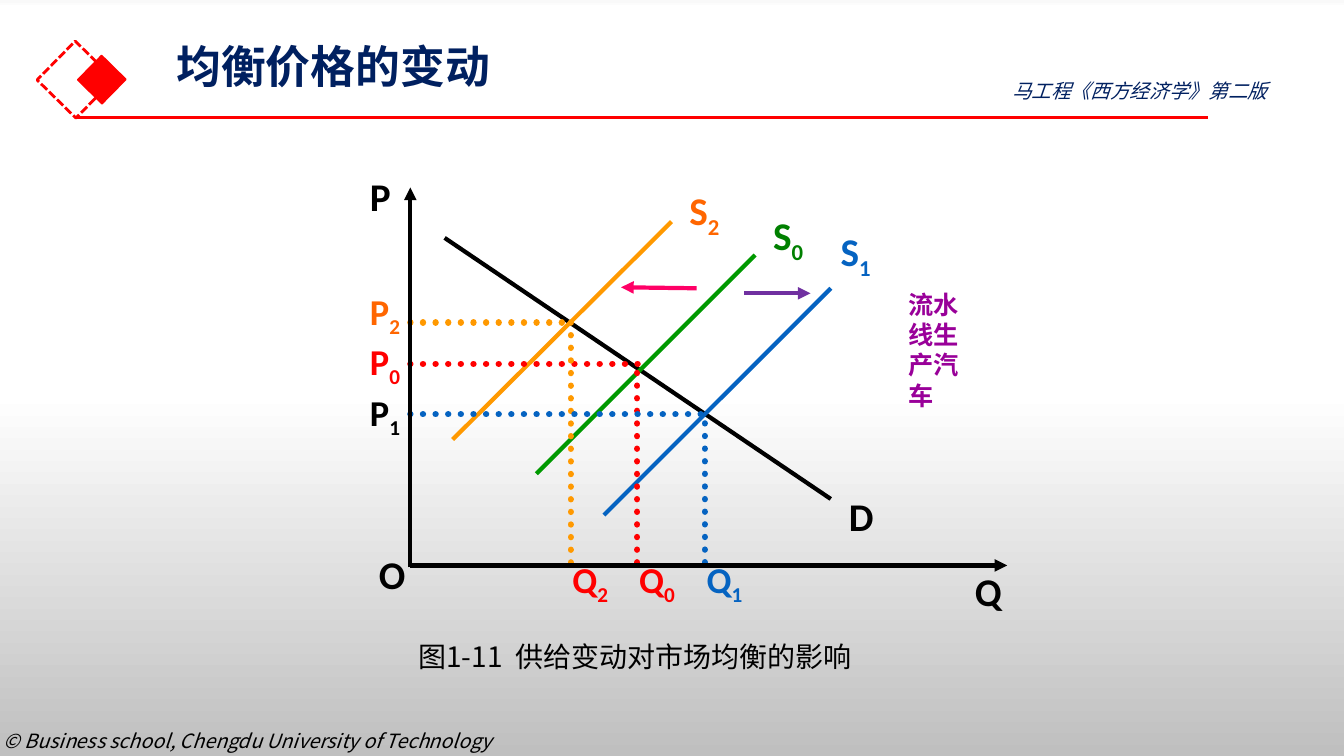
from lxml import etree
from pptx import Presentation
from pptx.dml.color import RGBColor
from pptx.enum.dml import MSO_LINE
from pptx.enum.shapes import MSO_CONNECTOR, MSO_SHAPE
from pptx.enum.text import MSO_ANCHOR
from pptx.oxml.ns import qn
from pptx.util import Inches, Pt

STRAIGHT = MSO_CONNECTOR.STRAIGHT
RECT = MSO_SHAPE.RECTANGLE
DOT = MSO_LINE.ROUND_DOT
DASH = MSO_LINE.SQUARE_DOT
TOP, MIDDLE = MSO_ANCHOR.TOP, MSO_ANCHOR.MIDDLE

CJK, LATIN = "Noto Sans CJK SC", "Calibri"
COLORS = {
    "black": "000000", "red": "FF0000", "navy": "002060", "blue": "0563C1",
    "green": "009900", "leaf": "008000", "amber": "FF9900", "orange": "FF6600",
    "violet": "7030A0", "pink": "FF0066", "plum": "990099",
}
SKY = [(0, "F9F9F9"), (1, "FFFFFF"), (52, "FFFFFF"), (100, "BFBFBF")]

ORIGIN = (4.07, 5.61)
LABEL = (0.6, 0.33)  # wide enough for a letter and its subscript

# index, line start, line end, line colour, label place, label colour
SUPPLY = [
    ("0", (5.32, 4.7), (7.49, 2.53), "green", (7.57, 2.2), "leaf"),
    ("1", (5.99, 5.11), (8.24, 2.86), "blue", (8.24, 2.36), "blue"),
    ("2", (4.49, 4.36), (6.66, 2.2), "amber", (6.74, 1.95), "orange"),
]
# index, quantity, price, end of price line, top of quantity line,
# top of price label, colours of lines, price label and quantity label
LEVELS = [
    ("0", 6.32, 3.61, 6.41, 3.7, 3.45, "red", "red", "red"),
    ("2", 5.66, 3.2, 5.66, 3.2, 2.95, "amber", "orange", "red"),
    ("1", 6.99, 4.11, 6.99, 4.2, 3.95, "blue", "black", "blue"),
]


def rgb(name):
    return RGBColor.from_string(COLORS[name])


def paint_back(slide):
    fill = slide.background.fill
    fill.gradient()
    fill.gradient_angle = 270
    stops = slide.element.find(".//" + qn("a:gsLst"))
    for stop in list(stops):
        stops.remove(stop)
    for place, tone in SKY:
        stop = etree.SubElement(stops, qn("a:gs"), pos=str(place * 1000))
        etree.SubElement(stop, qn("a:srgbClr"), val=tone)


def add_line(slide, start, end, color, width=3, dotted=False, arrow=False):
    ends = [Inches(v) for v in (*start, *end)]
    line = slide.shapes.add_connector(STRAIGHT, *ends)
    line.line.color.rgb = rgb(color)
    line.line.width = Pt(width)
    props = line.element.spPr
    stroke = props.find(qn("a:ln"))
    if dotted:
        line.line.dash_style = DOT
        stroke.set("cap", "rnd")
    if arrow:
        etree.SubElement(stroke, qn("a:tailEnd"), type="triangle")
    etree.SubElement(props, qn("a:effectLst"))


def add_square(slide, left, top, side, width, solid):
    box = slide.shapes.add_shape(RECT, *map(Inches, (left, top, side, side)))
    box.rotation = 314.5
    box.shadow.inherit = False
    box.line.color.rgb = rgb("red")
    box.line.width = Pt(width)
    if solid:
        box.fill.solid()
        box.fill.fore_color.rgb = rgb("red")
    else:
        box.fill.background()
        box.line.dash_style = DASH


def add_text(slide, place, text, size, color, face=CJK, sub="", wrap=True,
             anchor=TOP, space=None, **style):
    """Add a text box, with an optional subscript after the text."""
    box = slide.shapes.add_textbox(*map(Inches, place))
    frame = box.text_frame
    frame.word_wrap = wrap
    frame.vertical_anchor = anchor
    para = frame.paragraphs[0]
    if space:
        para.line_spacing = space
    look = {"name": face, "size": Pt(size), **style}
    for part in filter(None, (text, sub)):
        run = para.add_run()
        run.text = part
        for key, value in look.items():
            setattr(run.font, key, value)
        run.font.color.rgb = rgb(color)
        props = run.font._element
        etree.SubElement(props, qn("a:ea"), typeface=CJK)
    if sub:
        props.set("baseline", "-25000")
    return frame


def add_label(slide, left, top, text, color="black", sub="", size=28):
    add_text(slide, (left, top, *LABEL), text, size, color, LATIN, sub,
             anchor=MIDDLE, bold=True)


def add_header(slide):
    add_text(slide, (-0.06, 7.18, 5.31, 0.34),
             "© Business school, Chengdu University of Technology",
             14, "black", wrap=False, italic=True)
    add_square(slide, 0.48, 0.52, 0.54, 2, False)
    add_square(slide, 0.84, 0.62, 0.34, 1, True)
    add_line(slide, (0.75, 1.17), (11.98, 1.17), "red", 2.25)
    title = add_text(slide, (1.65, 0.44, 11.5, 0.95), "均衡价格的变动",
                     32, "navy", space=0.9, bold=True)
    title.margin_top = 0
    add_text(slide, (9.94, 0.73, 3.24, 0.34), "马工程《西方经济学》第二版",
             14, "navy", italic=True)


def add_curves(slide):
    add_line(slide, (4.41, 2.36), (8.24, 4.95), "black")
    add_label(slide, 8.32, 4.95, "D")
    for sub, start, end, color, place, tint in SUPPLY:
        add_line(slide, start, end, color)
        add_label(slide, *place, "S", tint, sub)


def add_levels(slide):
    left, base = ORIGIN
    for sub, qty, price, end, top, mark, color, ptint, qtint in LEVELS:
        add_line(slide, (left, price), (end, price), color, 4.5, dotted=True)
        add_line(slide, (qty, top), (qty, base), color, 4.5, dotted=True)
        add_label(slide, left - 0.5, mark, "P", ptint, sub, 26)
        add_label(slide, qty - 0.08, base, "Q", qtint, sub, 26)


def add_axes(slide):
    left, base = ORIGIN
    add_line(slide, (left, base + 0.02), (left, 1.86), "black", arrow=True)
    add_line(slide, ORIGIN, (9.99, base), "black", arrow=True)
    add_label(slide, 3.57, 1.78, "P")
    add_label(slide, 3.66, 5.53, "O")
    add_label(slide, 9.57, 5.7, "Q")


def main():
    deck = Presentation()
    deck.slide_width, deck.slide_height = Inches(13.33), Inches(7.5)
    slide = deck.slides.add_slide(deck.slide_layouts[6])
    paint_back(slide)
    add_header(slide)
    add_curves(slide)
    add_levels(slide)
    add_axes(slide)
    add_line(slide, (7.38, 2.91), (8.04, 2.91), "violet", arrow=True)
    add_line(slide, (6.91, 2.86), (6.16, 2.85), "pink", arrow=True)
    add_text(slide, (4.05, 6.13, 4.63, 0.55),
             "图1-11  供给变动对市场均衡的影响", 20, "black", space=1.5)
    add_text(slide, (8.91, 2.82, 0.93, 1.31), "流水线生产汽车",
             18, "plum", LATIN, bold=True)
    deck.save("out.pptx")


if __name__ == "__main__":
    main()
